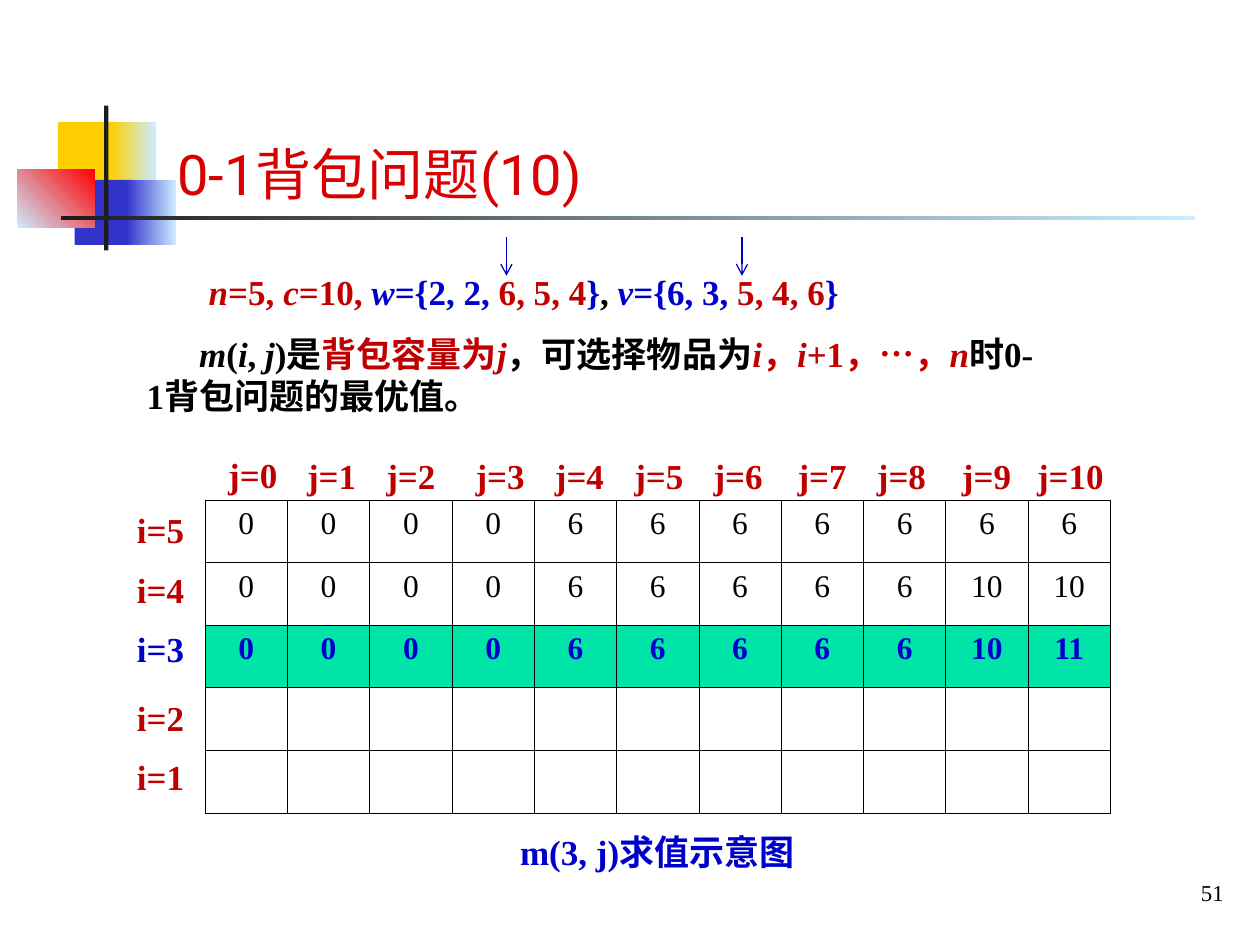
from lxml import etree
from pptx import Presentation
from pptx.dml.color import RGBColor
from pptx.enum.shapes import MSO_CONNECTOR, MSO_SHAPE
from pptx.enum.text import MSO_ANCHOR, PP_ALIGN
from pptx.oxml import parse_xml
from pptx.oxml.ns import qn
from pptx.util import Pt

RECT, LINE = MSO_SHAPE.RECTANGLE, MSO_CONNECTOR.STRAIGHT
LEFT, MID, RIGHT = PP_ALIGN.LEFT, PP_ALIGN.CENTER, PP_ALIGN.RIGHT
TOP, CENTER, BOTTOM = MSO_ANCHOR.TOP, MSO_ANCHOR.MIDDLE, MSO_ANCHOR.BOTTOM
XMLNS = "http://schemas.openxmlformats.org/drawingml/2006/main"

theme = {
    "serif": "Times New Roman", "sans": "Roboto",
    "title": 32, "body": 20, "cell": 18, "page": 13,
    "head": "D80000", "red": "C00000", "blue": "0000CC", "black": "000000",
    "mint": "00E4A8", "gold": "FFCF01", "navy": "3333CC", "pale": "CCECFF",
    "hot": "FF0000", "dark": "1C1C1C",
}


def color(name):
    return RGBColor.from_string(theme[name])


def write(frame, runs, align=LEFT, size="body", face="serif", bold=True):
    para = frame.paragraphs[0]
    para.alignment = align
    for words, tint, slant in runs:
        run = para.add_run()
        run.text = words
        values = {"name": theme[face], "size": Pt(theme[size]), "bold": bold, "italic": slant}
        for key, value in values.items():
            setattr(run.font, key, value)
        run.font.color.rgb = color(tint)
    return para


deck = Presentation()
deck.slide_width, deck.slide_height = Pt(720), Pt(540)
slide = deck.slides.add_slide(deck.slide_layouts[6])
shapes = slide.shapes

for x, y, w, h, start, end, angle in [
    (33.1, 69.6, 34.6, 37.4, "gold", None, 0),
    (63.2, 69.6, 25.7, 37.4, "gold", "pale", 0),
    (42.7, 102.8, 33, 37.2, "navy", None, 0),
    (72, 102.8, 28.6, 37.2, "navy", "pale", 0),
    (10, 96.8, 44.2, 33.4, "pale", "hot", 45),
    (59.5, 60.3, 2.4, 82.8, "dark", None, 0),
    (34.8, 123.4, 648, 2.3, "dark", "pale", 0),
]:
    block = shapes.add_shape(RECT, Pt(x), Pt(y), Pt(w), Pt(h))
    block.shadow.inherit = False
    block.line.fill.background()
    if end:
        block.fill.gradient()
        block.fill.gradient_angle = angle
        for stop, tint in zip(block.fill.gradient_stops, (start, end)):
            stop.color.rgb = color(tint)
    else:
        block.fill.solid()
        block.fill.fore_color.rgb = color(start)

rows = [
    [0] * 4 + [6] * 7,
    [0] * 4 + [6] * 5 + [10, 10],
    [0] * 4 + [6] * 5 + [10, 11],
    [""] * 11,
    [""] * 11,
]
grid = shapes.add_table(5, 11, Pt(117.2), Pt(285.7), Pt(517.6), Pt(179)).table
grid.first_row = grid.horz_banding = False
for col in grid.columns:
    col.width = Pt(47.05)
for r, row in enumerate(rows):
    grid.rows[r].height = Pt(35.8)
    for c, value in enumerate(row):
        cell = grid.cell(r, c)
        props = cell._tc.get_or_add_tcPr()
        for side in ("lnL", "lnR", "lnT", "lnB"):
            props.append(parse_xml(
                f'<a:{side} xmlns:a="{XMLNS}" w="{Pt(0.45)}"><a:solidFill>'
                f'<a:srgbClr val="{theme["black"]}"/></a:solidFill></a:{side}>'))
        active = r == 2
        if active:
            cell.fill.solid()
            cell.fill.fore_color.rgb = color("mint")
        else:
            cell.fill.background()
        if value != "":
            tint = "blue" if active else "black"
            write(cell.text_frame, [(str(value), tint, False)], MID, "cell", bold=active)

labels = []
for n in range(5):
    y = 287.3 + 33.8 * n + (5.8 if n > 2 else 0)
    tint = "blue" if n == 2 else "red"
    labels.append((69.8, y, 44, f"i={5 - n}", tint))
lefts = [122.2, 167.3, 212.6, 263.6, 308.9, 354.3, 399.6, 447.6, 492.9, 541.5, 584.4]
for n, x in enumerate(lefts):
    labels.append((x, 256.3 if n else 255.6, 54.6 if n == 10 else 44.5, f"j={n}", "red"))
labels.append((285.3, 470.9, 180.7, "m(3, j)求值示意图", "blue"))

given = [
    ("n", "red", True), ("=5, ", "red", False), ("c", "red", True),
    ("=10, ", "red", False), ("w", "blue", True), ("={2, 2, ", "blue", False),
    ("6, 5, 4", "red", False), ("}", "blue", False), (", ", "black", False),
    ("v", "blue", True), ("={6, 3, ", "blue", False), ("5, 4, 6", "red", False),
    ("}", "blue", False),
]
define = [
    ("m", "black", True), ("(", "black", False), ("i", "black", True),
    (", ", "black", False), ("j", "black", True), (")是", "black", False),
    ("背包容量为", "red", False), ("j", "red", True), ("，可选择物品为", "black", False),
    ("i", "red", True), ("，", "red", False), ("i", "red", True),
    ("+1，…，", "red", False), ("n", "red", True),
    ("时0-1背包问题的最优值。", "black", False),
]
texts = [
    (94.3, 43.2, 606.2, 78.5, [("0-1背包问题(10)", "head", False)], BOTTOM, True,
     {"size": "title", "face": "sans", "bold": False}),
    (568.8, 496.8, 137.5, 26.6, [("51", "black", False)], CENTER, False,
     {"align": RIGHT, "size": "page", "bold": False}),
    (112.2, 151.2, 379.4, 31.7, given, TOP, False, {}),
    (76.7, 186.5, 521.3, 55.4, define, TOP, True, {}),
]
for x, y, w, words, tint in labels:
    texts.append((x, y, w, 31.7, [(words, tint, False)], TOP, False, {"align": MID}))
for x, y, w, h, runs, anchor, wrap, style in texts:
    frame = shapes.add_textbox(Pt(x), Pt(y), Pt(w), Pt(h)).text_frame
    frame.word_wrap, frame.vertical_anchor = wrap, anchor
    para = write(frame, runs, **style)
    if runs is define:
        para._p.get_or_add_pPr().set("indent", str(Pt(30)))

for x in (289.4, 424):
    arrow = shapes.add_connector(LINE, Pt(x), Pt(135.3), Pt(x), Pt(157.6))
    arrow.line.color.rgb = color("blue")
    arrow.line.width = Pt(0.75)
    etree.SubElement(arrow.line._get_or_add_ln(), qn("a:tailEnd"), type="arrow")
    etree.SubElement(arrow._element.spPr, qn("a:effectLst"))

deck.save("out.pptx")
